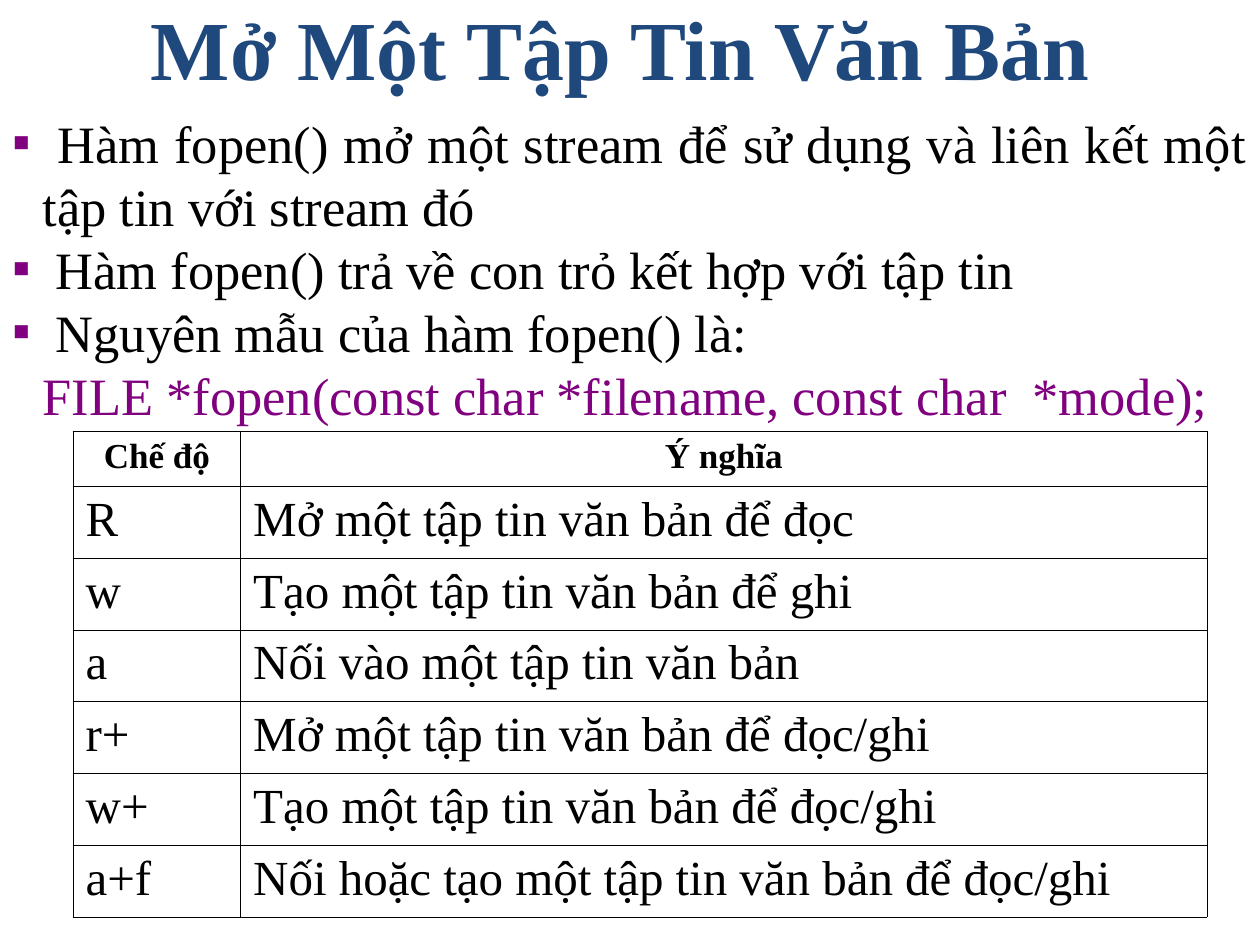
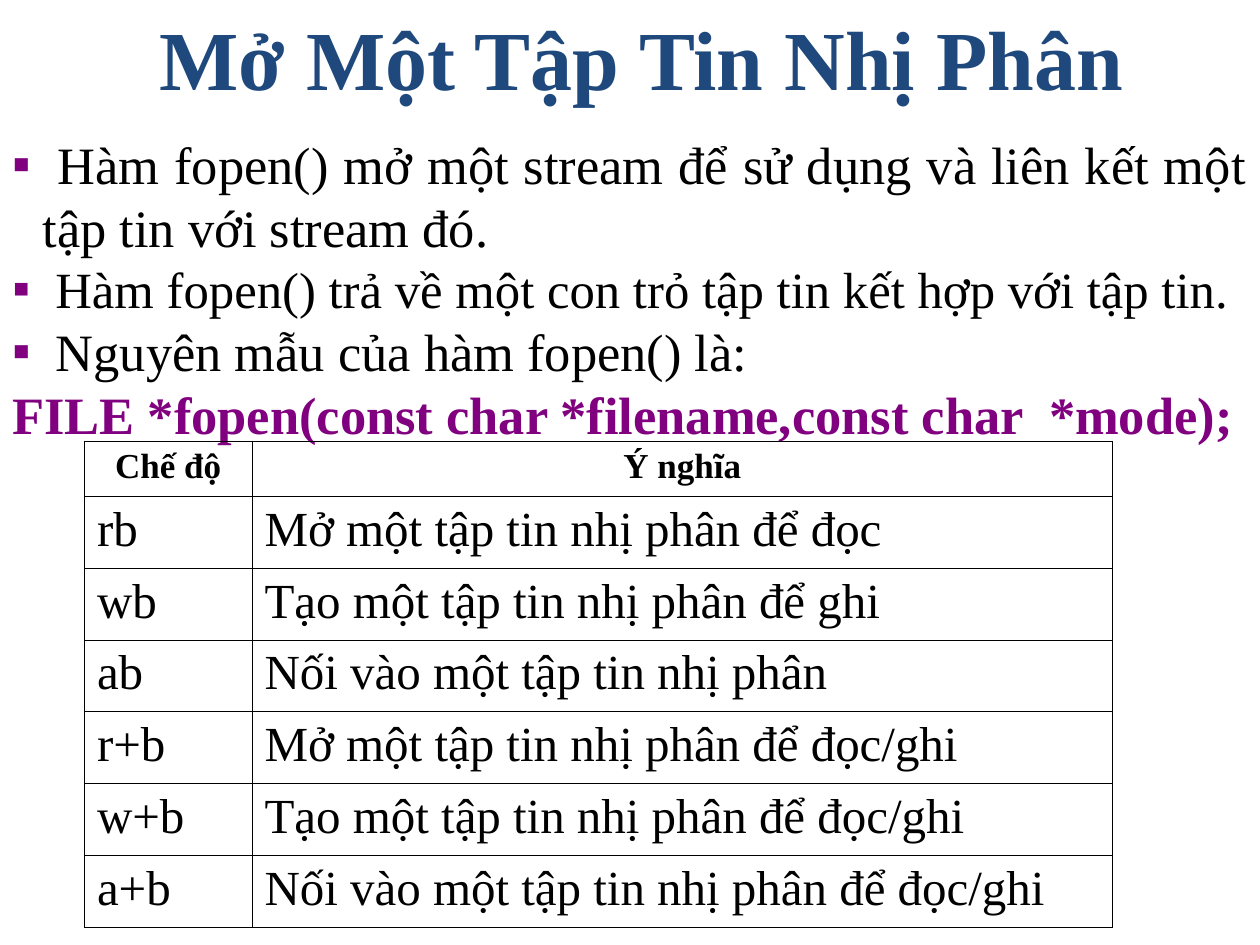
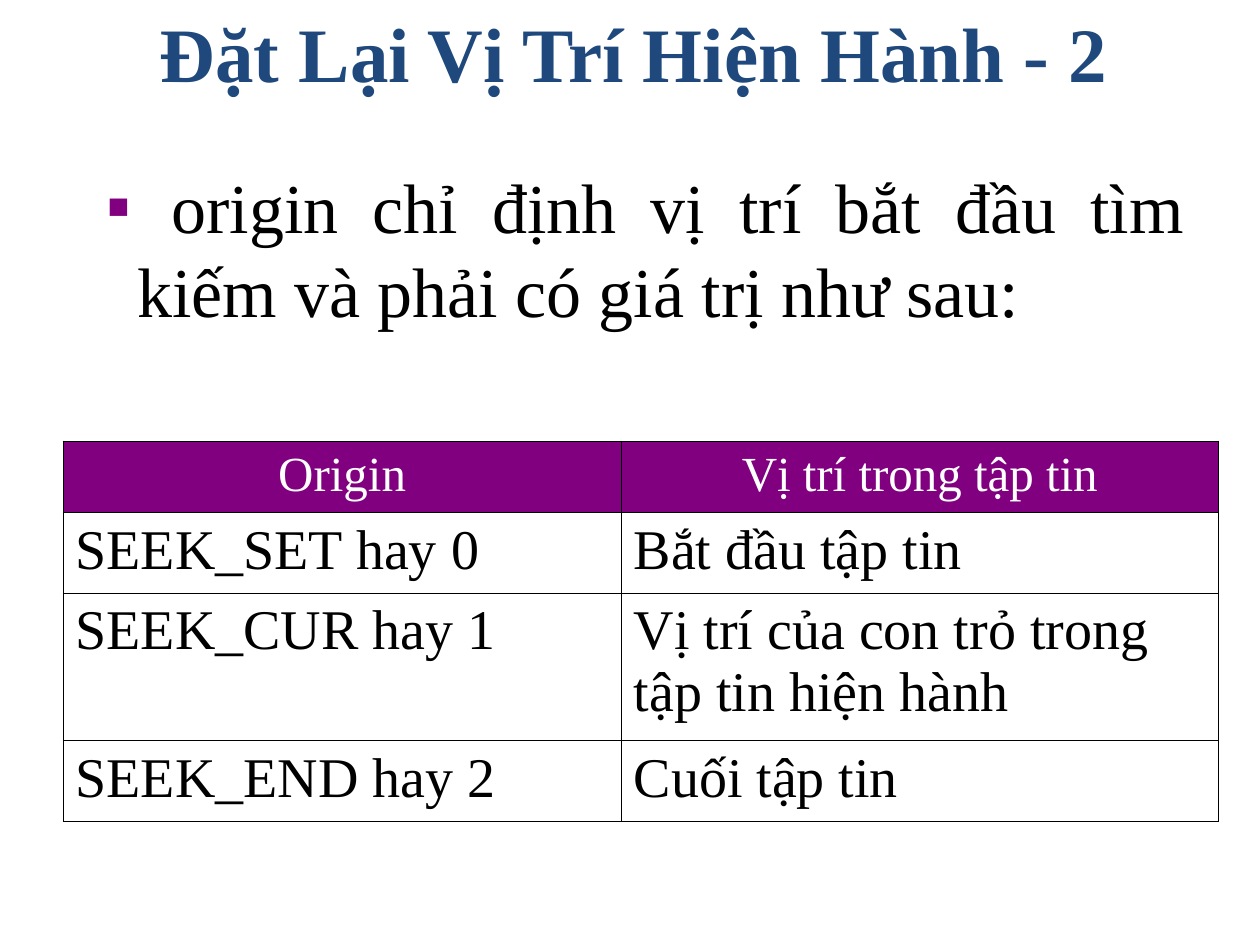
from pptx import Presentation
from pptx.dml.color import RGBColor
from pptx.enum.shapes import MSO_SHAPE
from pptx.enum.text import MSO_ANCHOR, MSO_AUTO_SIZE, PP_ALIGN
from pptx.oxml import parse_xml
from pptx.oxml.ns import nsdecls
from pptx.util import Inches, Pt

FONT = "Times New Roman"
NAVY = RGBColor(0x1F, 0x49, 0x7D)
PURPLE = RGBColor(0x80, 0x00, 0x80)
BLACK = RGBColor(0x00, 0x00, 0x00)
WHITE = RGBColor(0xFF, 0xFF, 0xFF)

HANGING = 0.24
BORDER_WIDTH = Pt(0.45)

# Formats of the body paragraphs
BULLET = dict(size=30, align=PP_ALIGN.JUSTIFY, bullet="▪", indent=HANGING, first_line=-HANGING)
SMALLER_BULLET = BULLET | dict(size=29)
LARGE_BULLET = BULLET | dict(size=40)
CODE = dict(size=30, color=PURPLE, indent=HANGING)
BOLD_CODE = CODE | dict(bold=True, first_line=-HANGING)

# Formats of the tables
MODE_TABLE = dict(
    heights=[0.44] + [0.57] * 6,
    header=dict(size=20, bold=True, align=PP_ALIGN.CENTER),
    cell=dict(size=28, align=PP_ALIGN.JUSTIFY),
)
ORIGIN_TABLE = dict(
    heights=[0.57, 0.64, 1.17, 0.64],
    header=dict(size=28, color=WHITE, align=PP_ALIGN.CENTER),
    cell=dict(size=32),
    header_fill=PURPLE,
)

# Content: boxes are left, top, width, height in inches
SLIDES = [
    dict(
        title="Mở Một Tập Tin Văn Bản", title_box=(1.1, -0.08, 7.9, 0.9), title_size=48,
        body_box=(0, 0.83, 10, 2.6), body_fill=WHITE,
        body=[
            (" Hàm fopen() mở một stream để sử dụng và liên kết một tập tin với stream đó", BULLET),
            (" Hàm fopen() trả về con trỏ kết hợp với tập tin", BULLET),
            (" Nguyên mẫu của hàm fopen() là:", BULLET),
            ("FILE *fopen(const char *filename, const char  *mode);", CODE),
        ],
        table_at=(0.58, 3.42), columns=(1.33, 7.67), table=MODE_TABLE,
        rows=[
            ("Chế độ", "Ý nghĩa"),
            ("R", "Mở một tập tin văn bản để đọc"),
            ("w", "Tạo một tập tin văn bản để ghi"),
            ("a", "Nối vào một tập tin văn bản"),
            ("r+", "Mở một tập tin văn bản để đọc/ghi"),
            ("w+", "Tạo một tập tin văn bản để đọc/ghi"),
            ("a+f", "Nối hoặc tạo một tập tin văn bản để đọc/ghi"),
        ],
    ),
    dict(
        title="Mở Một Tập Tin Nhị Phân", title_box=(1.17, 0, 8.06, 0.9), title_size=48,
        body_box=(0, 1, 10, 2.59),
        body=[
            (" Hàm fopen() mở một stream để sử dụng và liên kết một tập tin với stream đó.", BULLET),
            (" Hàm fopen() trả về một con trỏ tập tin kết hợp với tập tin.", SMALLER_BULLET),
            (" Nguyên mẫu của hàm fopen() là:", BULLET),
            ("FILE *fopen(const char *filename,const char  *mode);", BOLD_CODE),
        ],
        table_at=(0.67, 3.5), columns=(1.33, 6.83), table=MODE_TABLE,
        rows=[
            ("Chế độ", "Ý nghĩa"),
            ("rb", "Mở một tập tin nhị phân để đọc"),
            ("wb", "Tạo một tập tin nhị phân để ghi"),
            ("ab", "Nối vào một tập tin nhị phân"),
            ("r+b", "Mở một tập tin nhị phân để đọc/ghi"),
            ("w+b", "Tạo một tập tin nhị phân để đọc/ghi"),
            ("a+b", "Nối vào một tập tin nhị phân để đọc/ghi"),
        ],
    ),
    dict(
        title="Đặt Lại Vị Trí Hiện Hành - 2", title_box=(1.17, 0, 8.04, 0.83), title_size=44,
        body_box=(0.75, 1.25, 8.75, 1.44),
        body=[
            (" origin chỉ định vị trí bắt đầu tìm kiếm và phải có giá trị như sau:", LARGE_BULLET),
        ],
        table_at=(0.5, 3.5), columns=(4.43, 4.74), table=ORIGIN_TABLE,
        rows=[
            ("Origin", "Vị trí trong tập tin"),
            ("SEEK_SET hay 0", "Bắt đầu tập tin"),
            ("SEEK_CUR hay 1", "Vị trí của con trỏ trong tập tin hiện hành"),
            ("SEEK_END hay 2", "Cuối tập tin"),
        ],
    ),
]


def write(paragraph, text, size, color=BLACK, bold=False, align=PP_ALIGN.LEFT,
          bullet=None, indent=0, first_line=0):
    """Put formatted text in a paragraph."""
    properties = paragraph._p.get_or_add_pPr()
    properties.set("marL", str(Inches(indent)))
    properties.set("indent", str(Inches(first_line)))
    if bullet:
        properties.append(parse_xml(
            f'<a:buClr {nsdecls("a")}><a:srgbClr val="{PURPLE}"/></a:buClr>'))
        properties.append(parse_xml(f'<a:buFont {nsdecls("a")} typeface="{FONT}"/>'))
        properties.append(parse_xml(f'<a:buChar {nsdecls("a")} char="{bullet}"/>'))
    paragraph.alignment = align
    run = paragraph.add_run()
    run.text = text
    run.font.name = FONT
    run.font.size = Pt(size)
    run.font.bold = bold
    run.font.color.rgb = color


def add_text(slide, box, paragraphs, anchor=MSO_ANCHOR.TOP, fill=None,
             auto_size=MSO_AUTO_SIZE.NONE):
    lengths = [Inches(length) for length in box]
    if fill is None:
        shape = slide.shapes.add_textbox(*lengths)
    else:
        shape = slide.shapes.add_shape(MSO_SHAPE.RECTANGLE, *lengths)
        shape.shadow.inherit = False
        shape.fill.solid()
        shape.fill.fore_color.rgb = fill
        shape.line.fill.background()
    frame = shape.text_frame
    frame.word_wrap = True
    frame.auto_size = auto_size
    frame.vertical_anchor = anchor
    for index, (text, style) in enumerate(paragraphs):
        paragraph = frame.add_paragraph() if index else frame.paragraphs[0]
        write(paragraph, text, **style)


def add_borders(cell):
    properties = cell._tc.get_or_add_tcPr()
    for side in "LRTB":
        properties.append(parse_xml(
            f'<a:ln{side} {nsdecls("a")} w="{BORDER_WIDTH}"><a:solidFill>'
            f'<a:srgbClr val="{BLACK}"/></a:solidFill></a:ln{side}>'))


def add_grid(slide, position, columns, rows, heights, header, cell, header_fill=None):
    left, top = position
    table = slide.shapes.add_table(
        len(rows), len(columns), Inches(left), Inches(top),
        Inches(sum(columns)), Inches(sum(heights))).table
    table.first_row = table.horz_banding = False
    for column, width in zip(table.columns, columns):
        column.width = Inches(width)
    for row_index, (texts, height) in enumerate(zip(rows, heights)):
        table.rows[row_index].height = Inches(height)
        is_header = row_index == 0
        for column_index, text in enumerate(texts):
            table_cell = table.cell(row_index, column_index)
            add_borders(table_cell)
            if is_header and header_fill:
                table_cell.fill.solid()
                table_cell.fill.fore_color.rgb = header_fill
            else:
                table_cell.fill.background()
            write(table_cell.text_frame.paragraphs[0], text, **(header if is_header else cell))


def main():
    presentation = Presentation()
    presentation.slide_width = Inches(10)
    presentation.slide_height = Inches(7.5)
    for content in SLIDES:
        slide = presentation.slides.add_slide(presentation.slide_layouts[6])
        title_style = dict(size=content["title_size"], color=NAVY, bold=True)
        add_text(slide, content["title_box"], [(content["title"], title_style)],
                 anchor=MSO_ANCHOR.BOTTOM)
        add_text(slide, content["body_box"], content["body"], fill=content.get("body_fill"),
                 auto_size=MSO_AUTO_SIZE.SHAPE_TO_FIT_TEXT)
        add_grid(slide, content["table_at"], content["columns"], content["rows"],
                 **content["table"])
    presentation.save("out.pptx")


if __name__ == "__main__":
    main()
